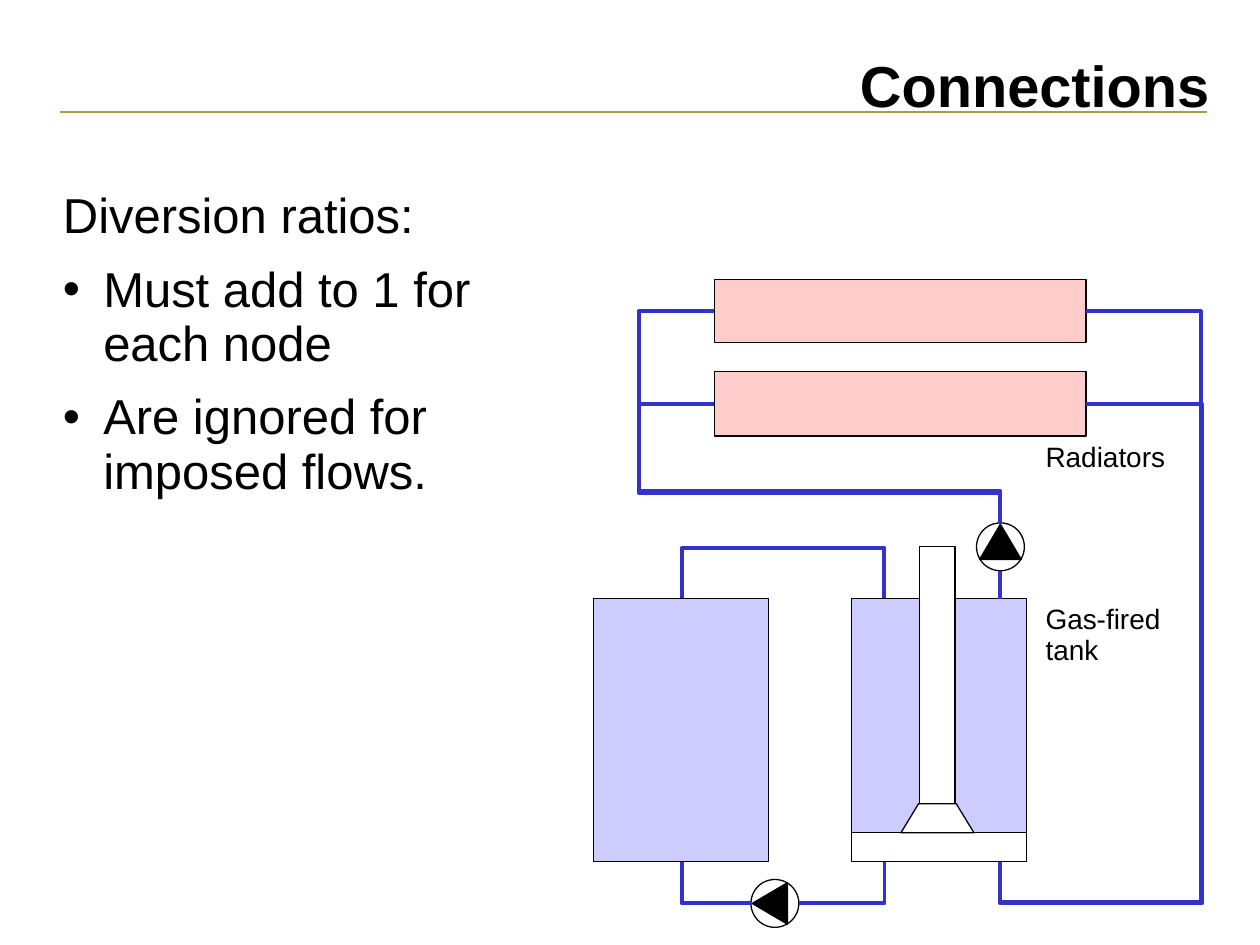
"""Build the Connections slide: diversion ratios beside a heating circuit diagram."""
from lxml import etree
from pptx import Presentation
from pptx.dml.color import RGBColor
from pptx.enum.shapes import MSO_CONNECTOR, MSO_SHAPE
from pptx.enum.text import MSO_ANCHOR, PP_ALIGN
from pptx.oxml.ns import qn
from pptx.util import Inches, Pt

RECTANGLE, OVAL, TRIANGLE = MSO_SHAPE.RECTANGLE, MSO_SHAPE.OVAL, MSO_SHAPE.ISOSCELES_TRIANGLE
STRAIGHT = MSO_CONNECTOR.STRAIGHT
BLACK, WHITE, PIPE, WATER, HEAT, GOLD = "000000", "FFFFFF", "3333CC", "CCCCFF", "FFCCCC", "B39942"


def paint(item, line, width, fill=None):
    item.line.color.rgb = RGBColor.from_string(line)
    item.line.width = Pt(width)
    if hasattr(item, "fill"):
        item.shadow.inherit = False
        if fill:
            item.fill.solid()
            item.fill.fore_color.rgb = RGBColor.from_string(fill)
        else:
            item.fill.background()
    else:
        etree.SubElement(item.line._get_or_add_ln().getparent(), qn("a:effectLst"))


def write(frame, lines, size, inset, paragraph_format, bold=False):
    frame.margin_left = frame.margin_right = Inches(inset)
    frame.margin_top = frame.margin_bottom = Inches(inset / 2)
    for number, line in enumerate(lines):
        paragraph = frame.add_paragraph() if number else frame.paragraphs[0]
        run = paragraph.add_run()
        run.text = line
        run.font.color.rgb = RGBColor.from_string(BLACK)
        for name, value in {"name": "Arial", "size": Pt(size), "bold": bold}.items():
            setattr(run.font, name, value)
        for name, value in paragraph_format.items():
            setattr(paragraph, name, value)


deck = Presentation()
deck.slide_width, deck.slide_height = Inches(10), Inches(7.5)
slide = deck.slides.add_slide(deck.slide_layouts[5])
shapes = slide.shapes

heading = shapes.title
placement = {"left": 0.5, "top": 0.47, "width": 9.1, "height": 0.49}
for name, value in placement.items():
    setattr(heading, name, Inches(value))
heading.text_frame.vertical_anchor = MSO_ANCHOR.MIDDLE
write(heading.text_frame, ["Connections"], 33, 0,
      {"alignment": PP_ALIGN.RIGHT, "line_spacing": 0.84}, bold=True)

ratios = shapes.add_textbox(Inches(0.5), Inches(1.51), Inches(3.77), Inches(5.73)).text_frame
ratios.word_wrap = True
write(ratios, ["Diversion ratios:", "Must add to 1 for each node", "Are ignored for imposed flows."],
      28, 0, {"line_spacing": 0.93, "space_before": Pt(10.5)})
for rule in ratios.paragraphs[1:]:
    properties = rule._p.get_or_add_pPr()
    properties.set("marL", str(Inches(0.32)))
    properties.set("indent", str(-Inches(0.32)))
    etree.SubElement(properties, qn("a:buFont")).set("typeface", "Arial")
    etree.SubElement(properties, qn("a:buChar")).set("char", "•")

tank_top, tank_bottom = 4.75, 6.84
blocks = [
    (4.71, tank_top, 1.39, 2.09, WATER),
    (6.76, tank_top, 1.39, 2.09, WATER),
    (7.3, 4.34, 0.28, 2.04, WHITE),
    (6.76, 6.61, 1.39, 0.23, WHITE),
    (5.67, 2.22, 2.95, 0.5, HEAT),
    (5.67, 2.95, 2.95, 0.51, HEAT),
]
for *box, colour in blocks:
    paint(shapes.add_shape(RECTANGLE, *map(Inches, box)), BLACK, 0.75, colour)

pump_size, arrow_width, arrow_height = 0.38, 0.33, 0.28
for x, y, arrow_x, arrow_y, turn in [(6.15, 7.17, 6.11, 7.17, 270), (7.94, 4.34, 7.94, 4.3, 0)]:
    pump = shapes.add_group_shape().shapes
    casing = pump.add_shape(OVAL, Inches(x - pump_size / 2), Inches(y - pump_size / 2),
                            Inches(pump_size), Inches(pump_size))
    paint(casing, BLACK, 0.75, WHITE)
    arrow = pump.add_shape(TRIANGLE, Inches(arrow_x - arrow_width / 2),
                           Inches(arrow_y - arrow_height / 2),
                           Inches(arrow_width), Inches(arrow_height))
    arrow.rotation = turn
    paint(arrow, BLACK, 0.75, BLACK)

burner = [(7.15, 6.61), (7.29, 6.38), (7.59, 6.38), (7.73, 6.61)]
pipes = [
    [(5.97, 7.17), (5.41, 7.17), (5.41, tank_bottom)],
    [(7.02, tank_bottom), (7.02, 7.17), (6.34, 7.17)],
    [(8.62, 2.47), (9.53, 2.47), (9.53, 7.16), (7.94, 7.16), (7.94, tank_bottom)],
    [(5.67, 2.47), (5.07, 2.47), (5.07, 3.9), (7.94, 3.9), (7.94, 4.15)],
    [(7.94, 4.15), (7.94, 3.91), (5.07, 3.91), (5.07, 3.21), (5.67, 3.21)],
    [(8.62, 3.21), (9.54, 3.21), (9.54, 7.17), (7.94, 7.17), (7.94, tank_bottom)],
    [(7.02, tank_top), (7.02, 4.35), (5.41, 4.35), (5.41, tank_top)],
]
for route in [burner] + pipes:
    start, *corners = [(Inches(x), Inches(y)) for x, y in route]
    builder = shapes.build_freeform(*start)
    builder.add_line_segments(corners, close=route is burner)
    style = (BLACK, 0.75, WHITE) if route is burner else (PIPE, 2.25)
    paint(builder.convert_to_shape(), *style)

straight_lines = [
    (9.58, 0.89, 0.48, 0.89, GOLD, 1.5),
    (4.95, tank_top, 5.86, tank_top, BLACK, 0.75),
    (4.97, tank_bottom, 5.88, tank_bottom, BLACK, 0.75),
    (7.02, tank_bottom, 7.94, tank_bottom, BLACK, 0.75),
    (7.94, 4.53, 7.94, tank_top, PIPE, 2.25),
]
for *ends, colour, width in straight_lines:
    paint(shapes.add_connector(STRAIGHT, *map(Inches, ends)), colour, width)

for top, width, height, lines in [(4.75, 1.11, 0.6, ["Gas-fired", "tank"]),
                                  (3.46, 1.15, 0.35, ["Radiators"])]:
    label = shapes.add_textbox(Inches(8.2), Inches(top), Inches(width), Inches(height))
    label.text_frame.word_wrap = False
    write(label.text_frame, lines, 16, 0.1, {"line_spacing": 0.93})

deck.save("out.pptx")
